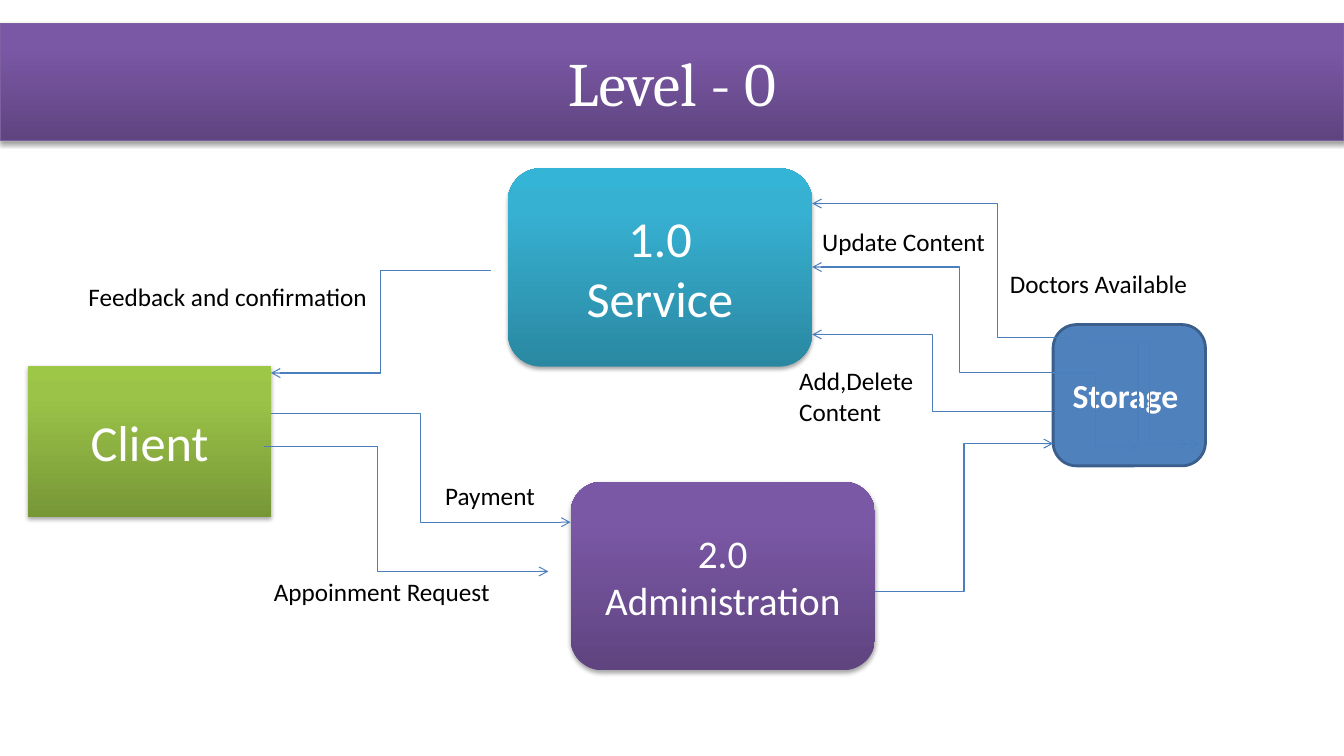
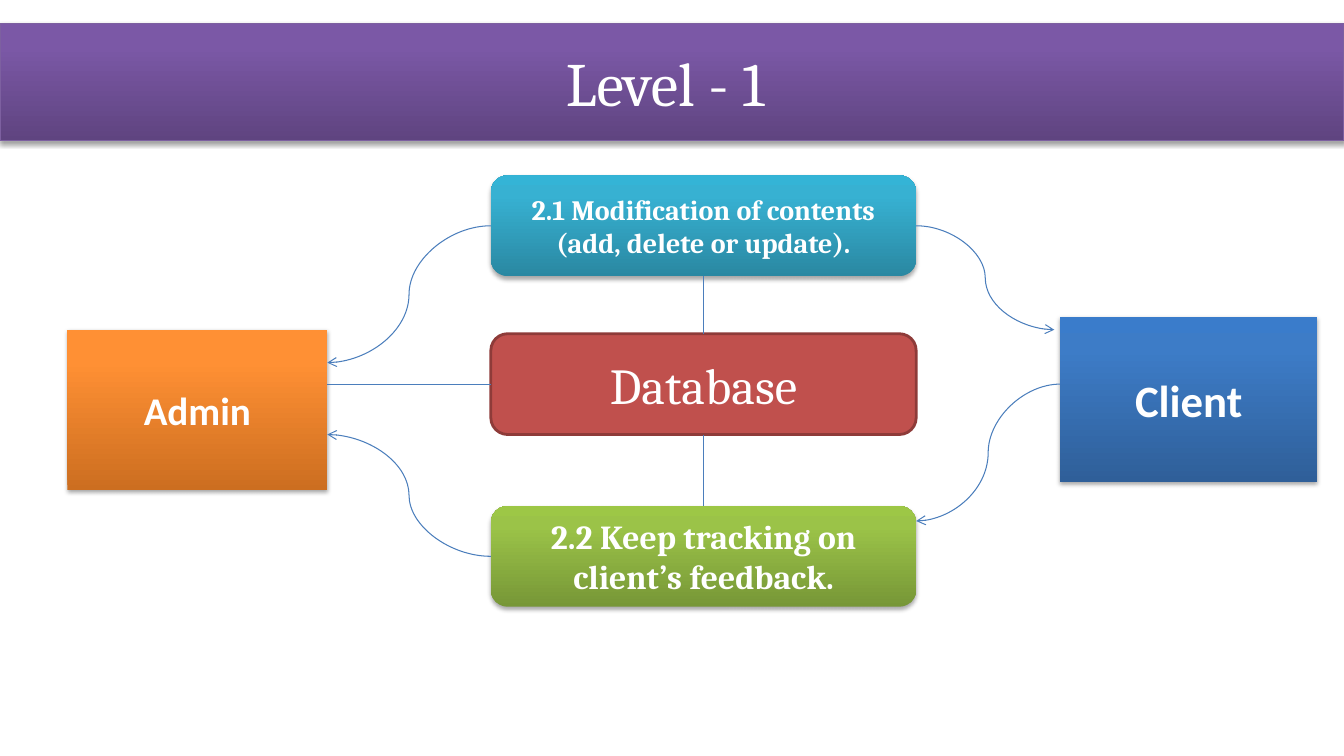
from copy import deepcopy

from lxml import etree
from pptx import Presentation
from pptx.dml.color import RGBColor
from pptx.enum import shapes, text
from pptx.oxml.ns import qn
from pptx.util import Cm, Pt

WHITE = RGBColor(0xFF, 0xFF, 0xFF)
BLACK = RGBColor(0x00, 0x00, 0x00)
LINE_BLUE = RGBColor(0x4B, 0x7E, 0xBC)
BAND_EDGE = RGBColor(0x7D, 0x60, 0xA0)
STORAGE_BLUE = RGBColor(0x4F, 0x81, 0xBD)
STORAGE_EDGE = RGBColor(0x3A, 0x5F, 0x8C)
DATABASE_RED = RGBColor(0xC0, 0x50, 0x4D)
DATABASE_EDGE = RGBColor(0x8E, 0x3B, 0x39)

# Gradients run from the bottom edge to the top edge.
PURPLE = (RGBColor(0x5F, 0x44, 0x80), RGBColor(0x7B, 0x58, 0xA6), RGBColor(0x7C, 0x57, 0xA8))
TEAL = (RGBColor(0x2A, 0x88, 0xA2), RGBColor(0x37, 0xB1, 0xD2), RGBColor(0x34, 0xB4, 0xD6))
GREEN = (RGBColor(0x77, 0x97, 0x37), RGBColor(0x9B, 0xC3, 0x48), RGBColor(0x9D, 0xC7, 0x46))
ORANGE = (RGBColor(0xCC, 0x6E, 0x20), RGBColor(0xFF, 0x90, 0x34), RGBColor(0xFF, 0x91, 0x36))
BLUE = (RGBColor(0x2F, 0x5F, 0x99), RGBColor(0x3D, 0x7C, 0xC7), RGBColor(0x3A, 0x7C, 0xCB))
STOPS = (0, 0.8, 1)

WIDTH, HEIGHT = 33.87, 19.05
RECT = shapes.MSO_SHAPE.RECTANGLE
ROUND = shapes.MSO_SHAPE.ROUNDED_RECTANGLE
STRAIGHT = shapes.MSO_CONNECTOR.STRAIGHT
ELBOW = shapes.MSO_CONNECTOR.ELBOW
CURVE = shapes.MSO_CONNECTOR.CURVE


def write(tf, content, size=18, font="Calibri", color=WHITE, bold=False,
          align=text.PP_ALIGN.CENTER, anchor=text.MSO_ANCHOR.MIDDLE, wrap=True):
    tf.text = content
    tf.word_wrap = wrap
    tf.vertical_anchor = anchor
    for p in tf.paragraphs:
        p.alignment = align
        for r in p.runs:
            r.font.size, r.font.name, r.font.bold = Pt(size), font, bold
            r.font.color.rgb = color


def set_outline(line, color, width):
    line.color.rgb = color
    line.width = Pt(width)


def raise_with_gradient(sp, colors):
    """Give a shape a three-stop gradient and a soft shadow below it."""
    sp.fill.gradient()
    sp.fill.gradient_angle = 90
    stops = sp._element.xpath(".//a:gsLst")[0]
    stops.append(deepcopy(stops[-1]))
    for stop, position, color in zip(sp.fill.gradient_stops, STOPS, colors):
        stop.position = position
        stop.color.rgb = color
    sp.shadow.inherit = False
    effects = sp._element.spPr.find(qn("a:effectLst"))
    shadow = etree.SubElement(effects, qn("a:outerShdw"), blurRad="40000",
                              dist="23000", dir="5400000", rotWithShape="0")
    black = etree.SubElement(shadow, qn("a:srgbClr"), val="000000")
    etree.SubElement(black, qn("a:alpha"), val="35000")


class Deck:
    """The shared style and the slide being drawn; lengths are in centimetres."""

    def __init__(self):
        self.prs = Presentation()
        self.prs.slide_width, self.prs.slide_height = Cm(WIDTH), Cm(HEIGHT)
        self.s = None

    def slide(self, title):
        self.s = self.prs.slides.add_slide(self.prs.slide_layouts[5])
        sp = self.s.shapes.title
        sp.left, sp.top, sp.width, sp.height = Cm(0), Cm(0.58), Cm(WIDTH), Cm(2.97)
        raise_with_gradient(sp, PURPLE)
        set_outline(sp.line, BAND_EDGE, 0.75)
        write(sp.text_frame, title, size=44, font="Cambria")

    def box(self, content, at, fill, kind=RECT, edge=None, **fmt):
        """Draw a box: raised for a gradient, flat and outlined if edge is given."""
        sp = self.s.shapes.add_shape(kind, *map(Cm, at))
        if edge is None:
            raise_with_gradient(sp, fill)
            sp.line.fill.background()
        else:
            sp.shadow.inherit = False
            sp.fill.solid()
            sp.fill.fore_color.rgb = fill
            set_outline(sp.line, edge, 2)
        write(sp.text_frame, content, **fmt)

    def label(self, content, x, y, width, height=1.02, wrap=False):
        sp = self.s.shapes.add_textbox(Cm(x), Cm(y), Cm(width), Cm(height))
        write(sp.text_frame, content, color=BLACK, wrap=wrap,
              align=text.PP_ALIGN.LEFT, anchor=text.MSO_ANCHOR.TOP)

    def link(self, kind, start, end, bend=None):
        """Connect two points; all but straight links end in an arrowhead."""
        c = self.s.shapes.add_connector(kind, *map(Cm, start + end))
        set_outline(c.line, LINE_BLUE, 0.75)
        sp_pr = c._element.spPr
        if kind != STRAIGHT:
            etree.SubElement(sp_pr.find(qn("a:ln")), qn("a:tailEnd"), type="arrow")
        if bend is not None:
            guides = c._element.xpath(".//a:avLst")[0]
            etree.SubElement(guides, qn("a:gd"), name="adj1", fmla=f"val {round(bend * 100000)}")
        etree.SubElement(sp_pr, qn("a:effectLst"))


def level_0(deck):
    client_right, service_right, storage_left = 6.83, 20.47, 26.54
    deck.slide("Level - 0")
    deck.box("1.0\nService", (12.8, 4.24, 7.67, 5), TEAL, ROUND, size=36)
    deck.box("Client", (0.71, 9.22, 6.12, 3.8), GREEN, size=36)
    deck.box("2.0\nAdministration", (14.38, 12.14, 7.67, 4.75), PURPLE, ROUND, size=28)
    deck.box("Storage ", (storage_left, 8.18, 3.84, 3.56), STORAGE_BLUE, ROUND,
             edge=STORAGE_EDGE, size=24, bold=True)

    deck.label("Appoinment Request", 6.65, 14.4, 6.17)
    deck.label("Feedback and confirmation", 1.98, 6.96, 7.62)
    deck.label("Add,Delete Content", 19.89, 9.09, 4.57, 1.8, wrap=True)
    deck.label("Update Content", service_right, 5.59, 5.36, wrap=True)
    deck.label("Doctors Available", 25.2, 6.63, 5.03)
    deck.label("Payment", 10.97, 11.99, 2.79)

    for start, end, bend in (
        ((client_right, 10.41), (14.38, 13.16), 0.5),
        ((6.65, 11.25), (13.82, 14.4), 0.4),
        ((12.37, 6.81), (client_right, 9.4), 0.5),
        ((27.03, 8.51), (service_right, 5.13), 0.29),
        ((27.41, 8.64), (29.95, 11.18), 0.5),
        ((27.69, 8.64), (30.23, 11.18), 0.5),
        ((storage_left, 9.4), (28.68, 11.25), 0.5),
        ((storage_left, 9.4), (service_right, 6.73), 0.39),
        ((22.05, 14.91), (storage_left, 11.18), 0.5),
        ((storage_left, 10.36), (service_right, 8.43), 0.5),
    ):
        deck.link(ELBOW, start, end, bend)


def level_1(deck):
    left, width, height = 12.37, 10.72, 2.54
    right, center = left + width, left + width / 2
    change_top, database_top, feedback_top = 4.42, 8.41, 12.75
    change_mid, database_mid = change_top + height / 2, database_top + height / 2
    admin_right, client_left = 8.25, 26.72
    deck.slide("Level - 1 ")
    deck.box("2.1 Modification of contents (add, delete or update).",
             (left, change_top, width, height), TEAL, ROUND, size=20, font="Cambria", bold=True)
    deck.box("2.2 Keep tracking on client’s feedback.",
             (left, feedback_top, width, height), GREEN, ROUND, size=24, font="Cambria", bold=True)
    deck.box("Admin", (1.7, 8.31, 6.55, 4.04), ORANGE, size=28, bold=True)
    deck.box("Client", (client_left, 7.98, 6.48, 4.17), BLUE, size=32, bold=True)
    deck.box("Database", (left, database_top, width, height), DATABASE_RED, ROUND,
             edge=DATABASE_EDGE, size=36, font="Cambria")

    for kind, start, end in (
        (CURVE, (left, change_mid), (admin_right, 9.14)),
        (CURVE, (client_left, database_mid), (right, 13.13)),
        (CURVE, (left, feedback_top + height / 2), (admin_right, 10.95)),
        (CURVE, (right, change_mid), (26.57, 8.31)),
        (STRAIGHT, (admin_right, database_mid), (left, database_mid)),
        (STRAIGHT, (center, change_top + height), (center, database_top)),
        (STRAIGHT, (center, database_top + height), (center, feedback_top)),
    ):
        deck.link(kind, start, end)


def main():
    deck = Deck()
    level_0(deck)
    level_1(deck)
    deck.prs.save("out.pptx")


if __name__ == "__main__":
    main()
